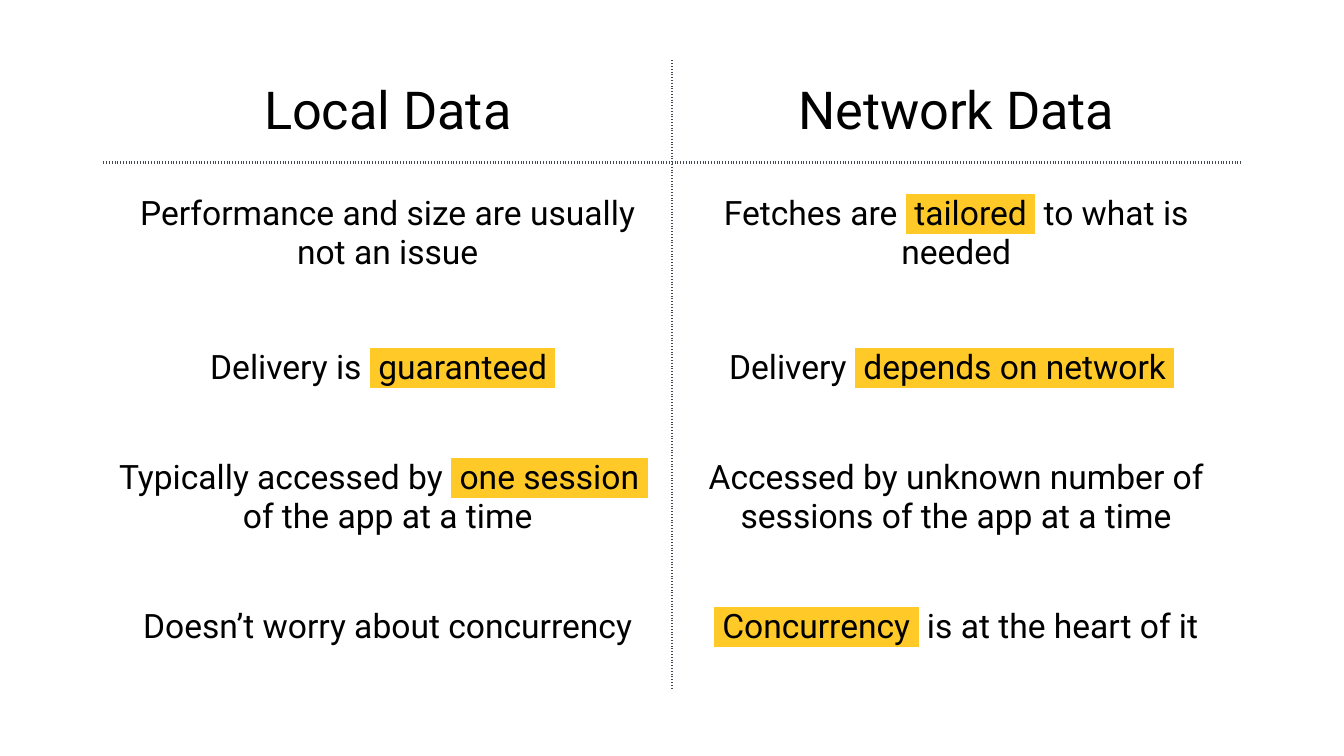
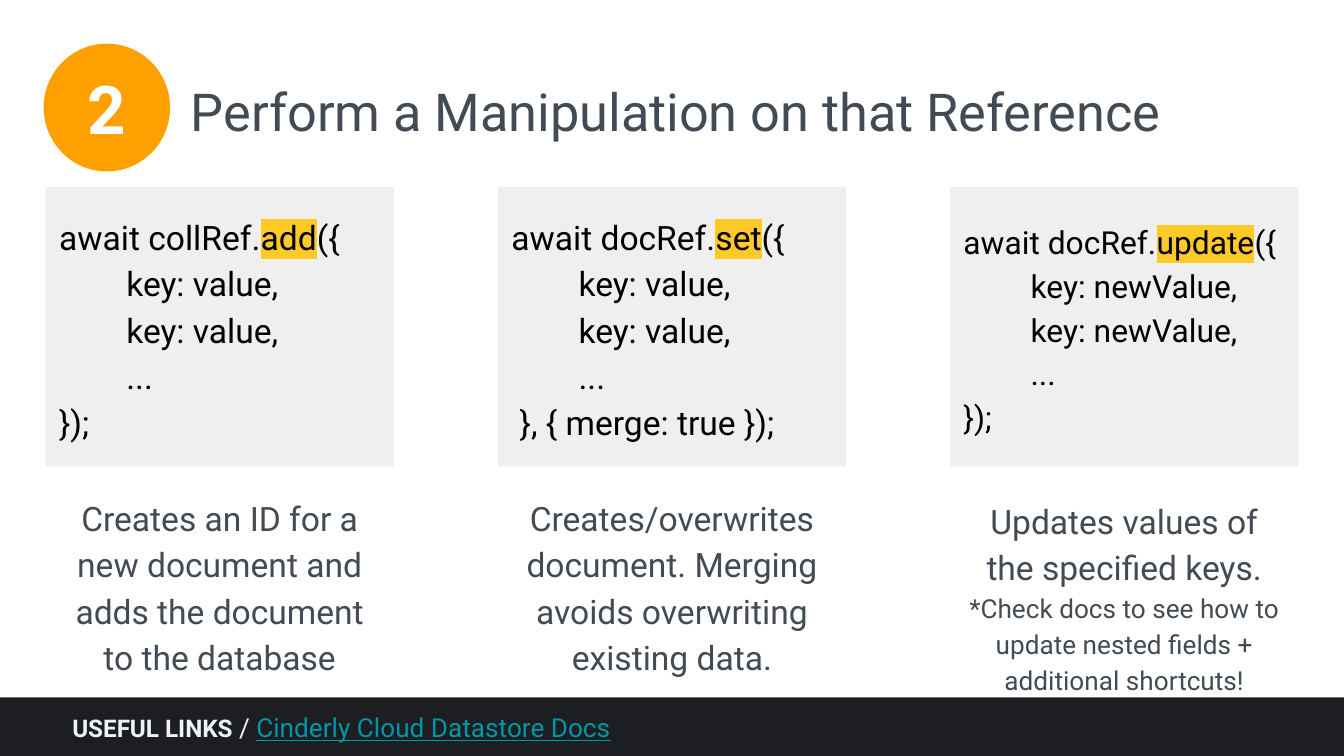
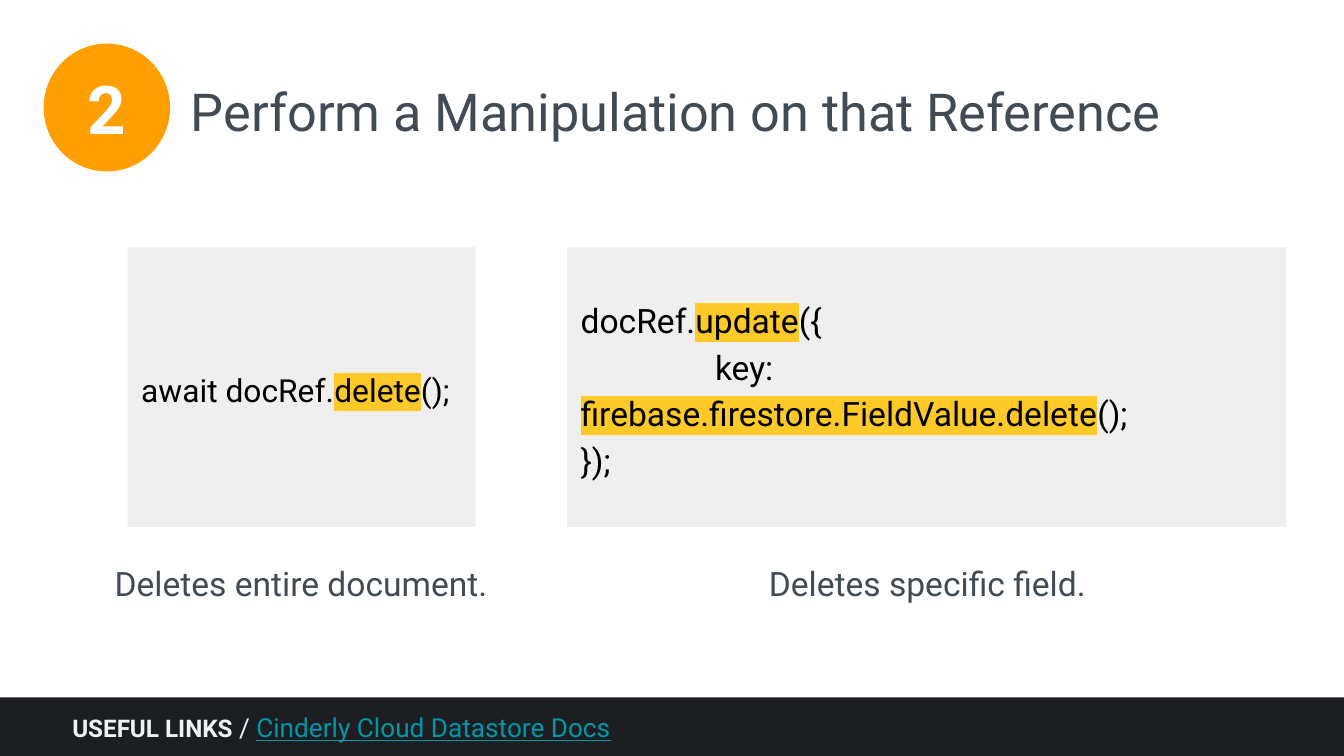
from lxml.etree import SubElement
from pptx import Presentation
from pptx.dml.color import RGBColor
from pptx.enum.shapes import MSO_SHAPE as Preset
from pptx.enum.text import MSO_ANCHOR as Anchor, MSO_AUTO_SIZE as AutoSize, PP_ALIGN as Align
from pptx.oxml.ns import qn
from pptx.util import Inches, Pt

COLOURS = {
    "white": "FFFFFF",
    "black": "000000",
    "slate": "424B54",
    "panel": "EFEFEF",
    "mark": "FFCA28",
    "badge": "FFA000",
    "footer": "1C1E22",
    "footer text": "F0F3F3",
    "link": "0097A7",
}
FONT = "Roboto"
WIDTH = 10
HEIGHT = WIDTH * 9 / 16
MARGIN = 0.34
PANEL_WIDTH, PANEL_HEIGHT = 2.59, 2.08
PANEL_STEP = (WIDTH - 2 * MARGIN - PANEL_WIDTH) / 2
CAPTION_HEIGHT = 1.5

TITLE = "Perform a Manipulation on that Reference"
FOOTER = [
    ("USEFUL LINKS", {"size": 13, "bold": True}),
    " / ",
    ("Cinderly Cloud Datastore Docs", {"colour": "link", "underline": True}),
]


def mark(text):
    return text, {"mark": True}


def full_stop(bold=False):
    return ".", {"colour": "white", "bold": bold}


COMPARISON = [
    (["Local Data"], ["Network Data"]),
    (["Performance and size are usually not an issue"],
     ["Fetches are ", mark(" tailored "), " to what is needed"]),
    (["Delivery is ", mark(" guaranteed "), full_stop(bold=True)],
     ["Delivery ", mark(" depends on network "), full_stop()]),
    (["Typically accessed by ", mark(" one session "), full_stop(), " of the app at a time"],
     ["Accessed by unknown number of sessions of the app at a time"]),
    (["Doesn’t worry about concurrency"],
     [mark(" Concurrency "), " is at the heart of it"]),
]
COLUMN_WIDTH = 4.23
ROW_HEIGHTS = [0.76, 1.06, 0.94, 0.99, 0.93]


def rgb(name):
    return RGBColor.from_string(COLOURS[name])


def add_colour(parent, tag, name):
    node = SubElement(parent, qn(tag))
    SubElement(node, qn("a:srgbClr")).set("val", COLOURS[name])
    return node


def add_span(para, text, size, colour, bold=False, underline=None, mark=False):
    span = para.add_run()
    span.text = text
    span.font.color.rgb = rgb(colour)
    formats = {"name": FONT, "size": Pt(size), "bold": bold, "underline": underline}
    for key, value in formats.items():
        setattr(span.font, key, value)
    if mark:
        props = span.font._element
        highlight = add_colour(props, "a:highlight", "mark")
        props.find(qn("a:solidFill")).addnext(highlight)


def fill_para(para, spans, size, colour, align=Align.LEFT, spacing=1.0, indent=0, first_line=0):
    props = para._p.get_or_add_pPr()
    props.set("marL", str(Inches(indent)))
    props.set("indent", str(Inches(first_line)))
    SubElement(props, qn("a:buNone"))
    formats = {"alignment": align, "line_spacing": spacing, "space_before": Pt(0)}
    for key, value in formats.items():
        setattr(para, key, value)
    for span in spans:
        text, changes = (span, {}) if isinstance(span, str) else span
        add_span(para, text, **{"size": size, "colour": colour, **changes})


def set_frame(frame, anchor):
    formats = {"word_wrap": True, "auto_size": AutoSize.NONE, "vertical_anchor": anchor}
    formats |= {f"margin_{side}": Inches(0.1) for side in ("left", "right", "top", "bottom")}
    for key, value in formats.items():
        setattr(frame, key, value)


def place(shape, left, top, width, height):
    for key, value in zip(("left", "top", "width", "height"), (left, top, width, height)):
        setattr(shape, key, Inches(value))


def add_preset(page, preset, area, fill, line=None):
    shape = page.shapes.add_shape(preset, *map(Inches, area))
    shape.shadow.inherit = False
    shape.fill.solid()
    shape.fill.fore_color.rgb = rgb(fill)
    if line:
        shape.line.color.rgb = rgb(line)
        shape.line.width = Pt(2.25)
    else:
        shape.line.fill.background()
    return shape


def add_body(page, slots, area, anchor):
    box = next(slots, None)
    if box is None:
        box = page.shapes.add_textbox(*map(Inches, area))
    place(box, *area)
    set_frame(box.text_frame, anchor)
    return box


def add_code(page, slots, area, lines, size=18, text_width=None):
    left, top, width, height = area
    panel = add_preset(page, Preset.RECTANGLE, area, "panel")
    box = add_body(page, slots, (left, top, text_width or width, height), Anchor.MIDDLE)
    box.element.addprevious(panel.element)
    for number, (spans, layout) in enumerate(lines):
        para = box.text_frame.add_paragraph() if number else box.text_frame.paragraphs[0]
        fill_para(para, spans, size, "black", spacing=1.15, **layout)


def add_caption(page, slots, left, top, width, spans):
    box = add_body(page, slots, (left, top, width, CAPTION_HEIGHT), Anchor.TOP)
    fill_para(box.text_frame.paragraphs[0], spans, 18, "slate", Align.CENTER, 1.15)


def call_lines(target, method, value, ending="});"):
    pair = f"key: {value},"
    inner = [([text], {"indent": 0.5}) for text in (pair, pair, "...")]
    return [([f"await {target}.", mark(method), "({"], {}), *inner, ([ending], {})]


def add_step_page(deck):
    page = deck.slides.add_slide(deck.slide_layouts.get_by_name("Comparison"))
    title = page.shapes.title
    place(title, 1.32, 0.49, 8.09, 0.63)
    set_frame(title.text_frame, Anchor.TOP)
    fill_para(title.text_frame.paragraphs[0], [TITLE], 28, "slate")

    footer = add_preset(page, Preset.RECTANGLE, (0, 5.19, WIDTH, 0.44), "footer")
    set_frame(footer.text_frame, Anchor.BOTTOM)
    fill_para(footer.text_frame.paragraphs[0], FOOTER, 14, "footer text", indent=0.44)

    badge = add_preset(page, Preset.OVAL, (MARGIN, 0.34, 0.91, 0.92), "badge", "badge")
    set_frame(badge.text_frame, Anchor.MIDDLE)
    fill_para(badge.text_frame.paragraphs[0], [("2", {"bold": True})], 36, "white", Align.CENTER)

    bodies = [item for item in page.placeholders if item.placeholder_format.idx in range(1, 5)]
    return page, iter(bodies)


def set_borders(cell, dotted):
    props = cell._tc.get_or_add_tcPr()
    for side in "LRTB":
        line = SubElement(props, qn(f"a:ln{side}"))
        if side in dotted:
            line.set("w", str(Pt(1.5)))
            add_colour(line, "a:solidFill", "slate")
            SubElement(line, qn("a:prstDash")).set("val", "dot")
        else:
            SubElement(line, qn("a:noFill"))


def build_comparison(deck):
    page = deck.slides.add_slide(deck.slide_layouts.get_by_name("Blank"))
    area = (0.77, 0.45, 2 * COLUMN_WIDTH, sum(ROW_HEIGHTS))
    table = page.shapes.add_table(len(COMPARISON), 2, *map(Inches, area)).table
    table.first_row = table.horz_banding = False
    for column in table.columns:
        column.width = Inches(COLUMN_WIDTH)
    for row, height in zip(table.rows, ROW_HEIGHTS):
        row.height = Inches(height)
    for row_number, texts in enumerate(COMPARISON):
        for column_number, spans in enumerate(texts):
            cell = table.cell(row_number, column_number)
            set_borders(cell, "RL"[column_number] + {0: "B", 1: "T"}.get(row_number, ""))
            cell.fill.background()
            cell.vertical_anchor = Anchor.MIDDLE
            for side in ("left", "right", "top", "bottom"):
                setattr(cell, f"margin_{side}", Inches(0.1))
            size = 18 if row_number else 28
            fill_para(cell.text_frame.paragraphs[0], spans, size, "black", Align.CENTER)


def build_writes(deck):
    page, slots = add_step_page(deck)
    operations = [
        (call_lines("collRef", "add", "value"), 18, 3.56,
         ["Creates an ID for a new document and adds the document to the database"]),
        (call_lines("docRef", "set", "value", " }, { merge: true });"), 18, 3.56,
         ["Creates/overwrites document. Merging avoids overwriting existing data."]),
        (call_lines("docRef", "update", "newValue"), 17, 3.58,
         ["Updates values of the specified keys. ",
          ("*Check docs to see how to update nested fields + additional shortcuts!",
           {"size": 14})]),
    ]
    for number, (lines, size, caption_top, caption) in enumerate(operations):
        left = MARGIN + number * PANEL_STEP
        add_code(page, slots, (left, 1.39, PANEL_WIDTH, PANEL_HEIGHT), lines, size)
        add_caption(page, slots, left, caption_top, PANEL_WIDTH, caption)


def build_deletes(deck):
    page, slots = add_step_page(deck)
    delete_document = [(["await docRef.", mark("delete"), "();"], {})]
    delete_field = [
        (["docRef.", mark("update"), "({"], {}),
        (["key: ", mark("firebase.firestore.FieldValue.delete"), "();"], {"first_line": 1}),
        (["});"], {}),
    ]
    add_code(page, slots, (0.95, 1.84, PANEL_WIDTH, PANEL_HEIGHT), delete_document, 17)
    add_caption(page, slots, 0, 4.04, 4.48, ["Deletes entire document."])
    add_code(page, slots, (4.22, 1.84, 5.35, PANEL_HEIGHT), delete_field, text_width=5.57)
    add_caption(page, slots, 4.89, 4.04, 4.02, ["Deletes specific field."])


def main():
    deck = Presentation()
    deck.slide_width, deck.slide_height = Inches(WIDTH), Inches(HEIGHT)
    build_comparison(deck)
    build_writes(deck)
    build_deletes(deck)
    deck.save("out.pptx")


if __name__ == "__main__":
    main()
